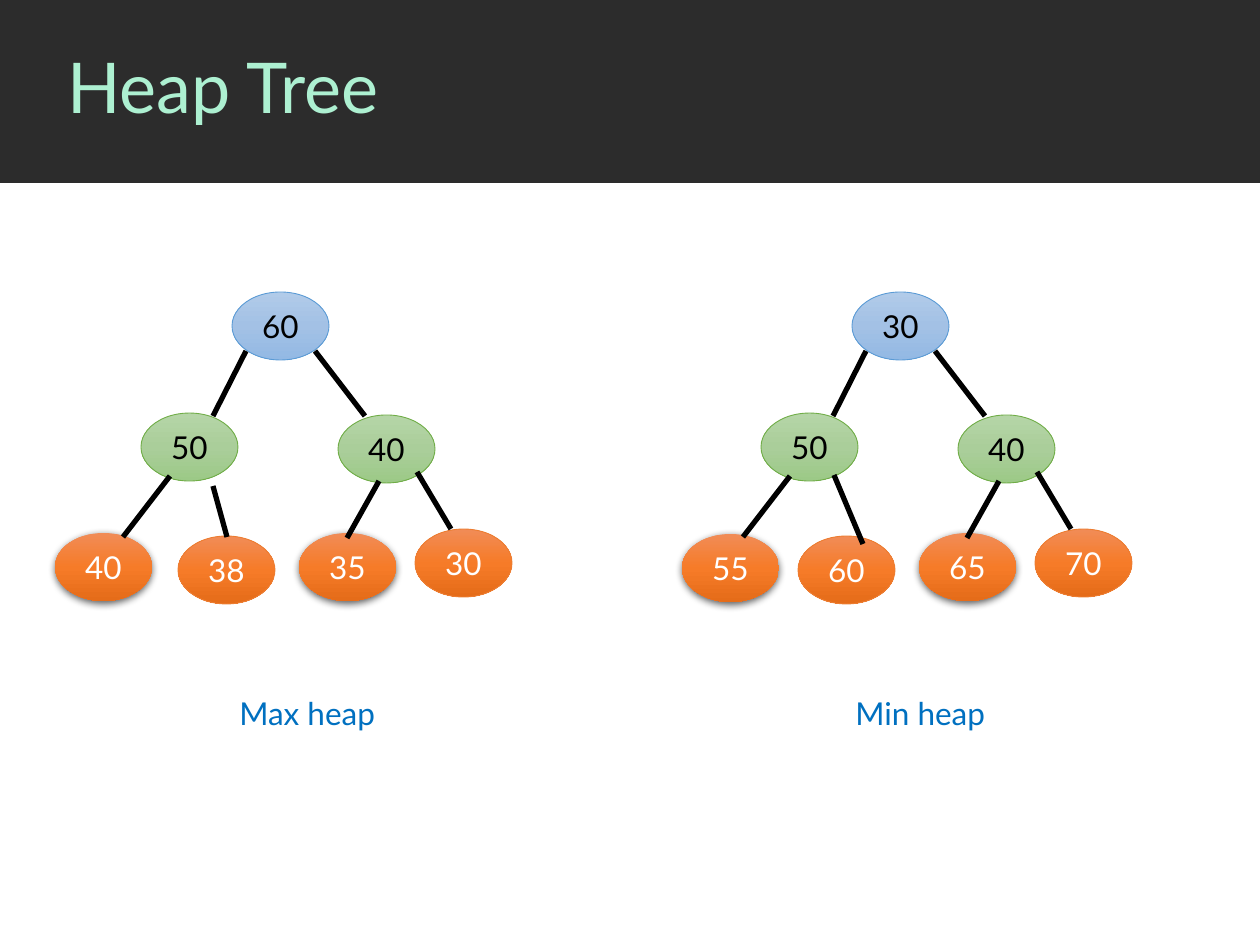
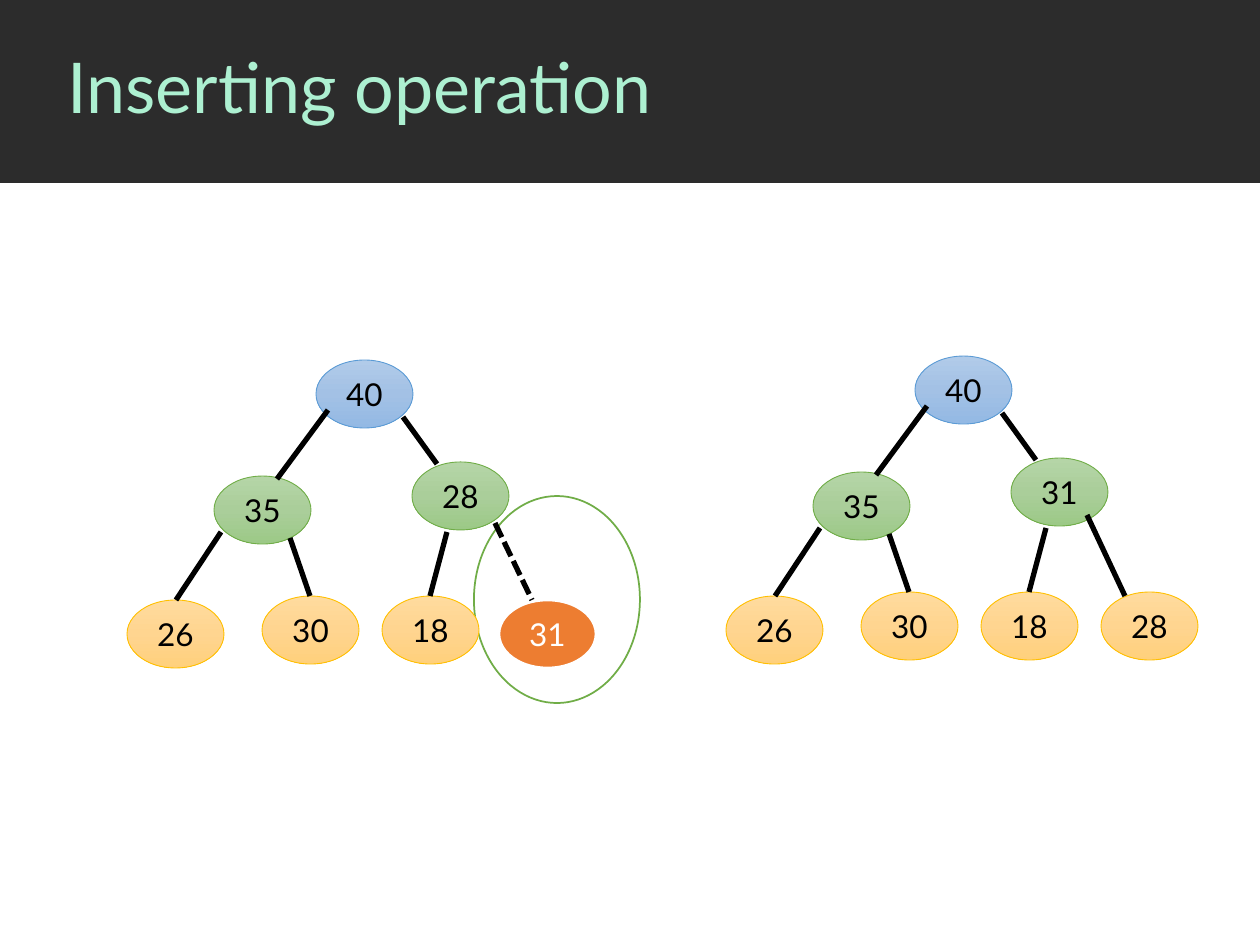
from copy import deepcopy
from dataclasses import dataclass

from lxml import etree
from pptx import Presentation
from pptx.dml.color import RGBColor
from pptx.enum.dml import MSO_LINE
from pptx.enum.shapes import MSO_CONNECTOR, MSO_SHAPE
from pptx.enum.text import MSO_ANCHOR, MSO_AUTO_SIZE, PP_ALIGN
from pptx.oxml.ns import qn
from pptx.util import Pt

OVAL, RECTANGLE = MSO_SHAPE.OVAL, MSO_SHAPE.RECTANGLE
STRAIGHT, DASH = MSO_CONNECTOR.STRAIGHT, MSO_LINE.SQUARE_DOT
LEFT, CENTER = PP_ALIGN.LEFT, PP_ALIGN.CENTER
MIDDLE, NO_FIT = MSO_ANCHOR.MIDDLE, MSO_AUTO_SIZE.NONE

FONT = "Lato"
BLACK, WHITE = "000000", "FFFFFF"
BAND_COLOR, TITLE_COLOR, LABEL_COLOR = "2C2C2C", "ADF0D1", "0070C0"
GREEN, ORANGE = "70AD47", "ED7D31"
EMU_PER_PX = 914400 / 126
SLIDE_WIDTH, SLIDE_HEIGHT = 1260, 945
BAND_HEIGHT = 183
NODE_WIDTH, NODE_HEIGHT = 97, 68

Point = tuple[int, int]
Edge = tuple[Point, Point]


@dataclass(frozen=True)
class NodeStyle:
    fills: tuple[str, ...]
    text: str = BLACK
    line: str | None = None
    line_width: float = 0.5
    raised: bool = False


@dataclass(frozen=True)
class Tree:
    """Corners of the nodes, level by level, and the branches between them."""
    corners: tuple[Point, ...]
    styles: tuple[NodeStyle, ...]
    edges: tuple[Edge, ...]
    dashed_edges: tuple[Edge, ...] = ()


ORANGE_FILLS = ("F18C57", "F67B28", "E56C19")
ROOT = NodeStyle(("B1CBE9", "A3C1E5", "93B9E4"), line="5B9BD5")
PARENT = NodeStyle(("B5D5A7", "AACE9A", "9CC987"), line=GREEN)
FLAT_LEAF = NodeStyle(ORANGE_FILLS, WHITE, ORANGE)
RAISED_LEAF = NodeStyle(ORANGE_FILLS, WHITE, raised=True)
YELLOW_LEAF = NodeStyle(("FFDB9E", "FFD590", "FFD07C"), line="FFC000")
INSERTED_LEAF = NodeStyle((ORANGE,), WHITE, WHITE, 1.5)

HEAP_UPPER_NODES = ((232, 292), (141, 413), (338, 415))
HEAP_RIGHT_LEAVES = ((299, 533), (415, 529))
HEAP_STYLES = (ROOT, PARENT, PARENT) + (RAISED_LEAF, FLAT_LEAF) * 2
HEAP_EDGES = (
    ((246, 351), (213, 416)), ((315, 351), (365, 416)),
    ((170, 476), (123, 537)), ((379, 481), (347, 538)),
    ((417, 472), (451, 529)),
)
MAX_HEAP = Tree(
    HEAP_UPPER_NODES + ((55, 533), (178, 536)) + HEAP_RIGHT_LEAVES,
    HEAP_STYLES, HEAP_EDGES + (((213, 486), (227, 537)),),
)
MIN_HEAP = Tree(
    HEAP_UPPER_NODES + ((62, 534), (178, 536)) + HEAP_RIGHT_LEAVES,
    HEAP_STYLES, HEAP_EDGES + (((214, 475), (243, 544)),),
)

INSERT_NODES = ((316, 360), (214, 476), (412, 462),
                (127, 600), (262, 596), (382, 596))
INSERT_STYLES = (ROOT, PARENT, PARENT) + (YELLOW_LEAF,) * 3
INSERT_EDGES = (
    ((328, 410), (277, 479)), ((403, 417), (437, 464)),
    ((221, 532), (176, 600)), ((290, 538), (310, 596)),
    ((447, 532), (430, 596)),
)
BEFORE_SWAP = Tree(
    INSERT_NODES + ((499, 600),), INSERT_STYLES + (INSERTED_LEAF,),
    INSERT_EDGES, (((495, 523), (532, 600)),),
)
AFTER_SWAP = Tree(
    INSERT_NODES + ((502, 596),), INSERT_STYLES + (YELLOW_LEAF,),
    INSERT_EDGES + (((488, 519), (526, 600)),),
)


def px(*lengths: int) -> list[int]:
    return [round(length * EMU_PER_PX) for length in lengths]


def rgb(color: str) -> RGBColor:
    return RGBColor.from_string(color)


def write(shape, text: str, size: int, color: str, alignment=LEFT) -> None:
    shape.text_frame.text = text
    paragraph = shape.text_frame.paragraphs[0]
    paragraph.alignment = alignment
    font = paragraph.runs[0].font
    font.name, font.size = FONT, Pt(size)
    font.color.rgb = rgb(color)


def paint(shape, fills: tuple[str, ...]) -> None:
    """Fill with one colour, or with three from top to bottom."""
    if len(fills) == 1:
        shape.fill.solid()
        shape.fill.fore_color.rgb = rgb(fills[0])
        return
    shape.fill.gradient()
    shape.fill.gradient_angle = 270
    stop_list = next(shape.element.iter(qn("a:gsLst")))
    stop_list.append(deepcopy(stop_list[-1]))
    for index, (stop, color) in enumerate(zip(shape.fill.gradient_stops, fills)):
        stop.position = index / (len(fills) - 1)
        stop.color.rgb = rgb(color)


def add_drop_shadow(shape) -> None:
    effects = next(shape.element.iter(qn("a:effectLst")))
    shadow = etree.SubElement(effects, qn("a:outerShdw"), blurRad=str(Pt(4.5)),
                              dist=str(Pt(1.5)), dir="5400000", rotWithShape="0")
    color = etree.SubElement(shadow, qn("a:srgbClr"), val=BLACK)
    etree.SubElement(color, qn("a:alpha"), val="63000")


def add_figure(slide, kind, box: tuple[int, int, int, int], style: NodeStyle):
    shape = slide.shapes.add_shape(kind, *px(*box))
    shape.shadow.inherit = False
    paint(shape, style.fills)
    if style.line:
        shape.line.color.rgb = rgb(style.line)
        shape.line.width = Pt(style.line_width)
    else:
        shape.line.fill.background()
    if style.raised:
        add_drop_shadow(shape)
    return shape


def add_edge(slide, start: Point, end: Point, dashed: bool) -> None:
    edge = slide.shapes.add_connector(STRAIGHT, *px(*start, *end))
    edge.line.color.rgb = rgb(BLACK)
    edge.line.width = Pt(3)
    if dashed:
        edge.line.dash_style = DASH
    etree.SubElement(edge.element.spPr, qn("a:effectLst"))


def add_tree(slide, tree: Tree, values: tuple[int, ...], dx: int = 0, dy: int = 0) -> None:
    for (x, y), style, value in zip(tree.corners, tree.styles, values):
        box = (x + dx, y + dy, NODE_WIDTH, NODE_HEIGHT)
        node = add_figure(slide, OVAL, box, style)
        node.text_frame.vertical_anchor = MIDDLE
        write(node, str(value), 18, style.text, CENTER)
    for edges, dashed in ((tree.edges, False), (tree.dashed_edges, True)):
        for edge in edges:
            start, end = [(x + dx, y + dy) for x, y in edge]
            add_edge(slide, start, end, dashed)


def add_label(slide, text: str, left: int) -> None:
    label = slide.shapes.add_textbox(*px(left, 688, 178, 50))
    label.text_frame.word_wrap = True
    write(label, text, 18, LABEL_COLOR)


def add_titled_slide(presentation, layout, title: str):
    slide = presentation.slides.add_slide(layout)
    shape = slide.shapes.title
    shape.left, shape.top, shape.width, shape.height = px(55, 0, 1205, 181)
    write(shape, title, 40, TITLE_COLOR)
    shape.text_frame.vertical_anchor = MIDDLE
    shape.text_frame.auto_size = NO_FIT
    shape.text_frame.paragraphs[0].line_spacing = 0.9
    return slide


def move_band_to_layout(slide, layout) -> None:
    """Draw the title band and place it behind everything on the layout."""
    band = add_figure(slide, RECTANGLE, (0, 0, SLIDE_WIDTH, BAND_HEIGHT),
                      NodeStyle((BAND_COLOR,)))
    layout.shapes.element.insert(2, band.element)


def main() -> None:
    presentation = Presentation()
    presentation.slide_width, presentation.slide_height = px(SLIDE_WIDTH, SLIDE_HEIGHT)
    layout = presentation.slide_layouts.get_by_name("Title Only")

    heap_slide = add_titled_slide(presentation, layout, "Heap Tree")
    move_band_to_layout(heap_slide, layout)
    add_tree(heap_slide, MAX_HEAP, (60, 50, 40, 40, 38, 35, 30))
    add_tree(heap_slide, MIN_HEAP, (30, 50, 40, 55, 60, 65, 70), dx=620)
    add_label(heap_slide, "Max heap", 227)
    add_label(heap_slide, "Min heap", 843)

    insert_slide = add_titled_slide(presentation, layout, "Inserting operation")
    add_figure(insert_slide, OVAL, (474, 496, 166, 207),
               NodeStyle((WHITE,), line=GREEN, line_width=1))
    add_tree(insert_slide, BEFORE_SWAP, (40, 35, 28, 26, 30, 18, 31))
    add_tree(insert_slide, AFTER_SWAP, (40, 35, 31, 26, 30, 18, 28), dx=599, dy=-4)

    presentation.save("out.pptx")


if __name__ == "__main__":
    main()
